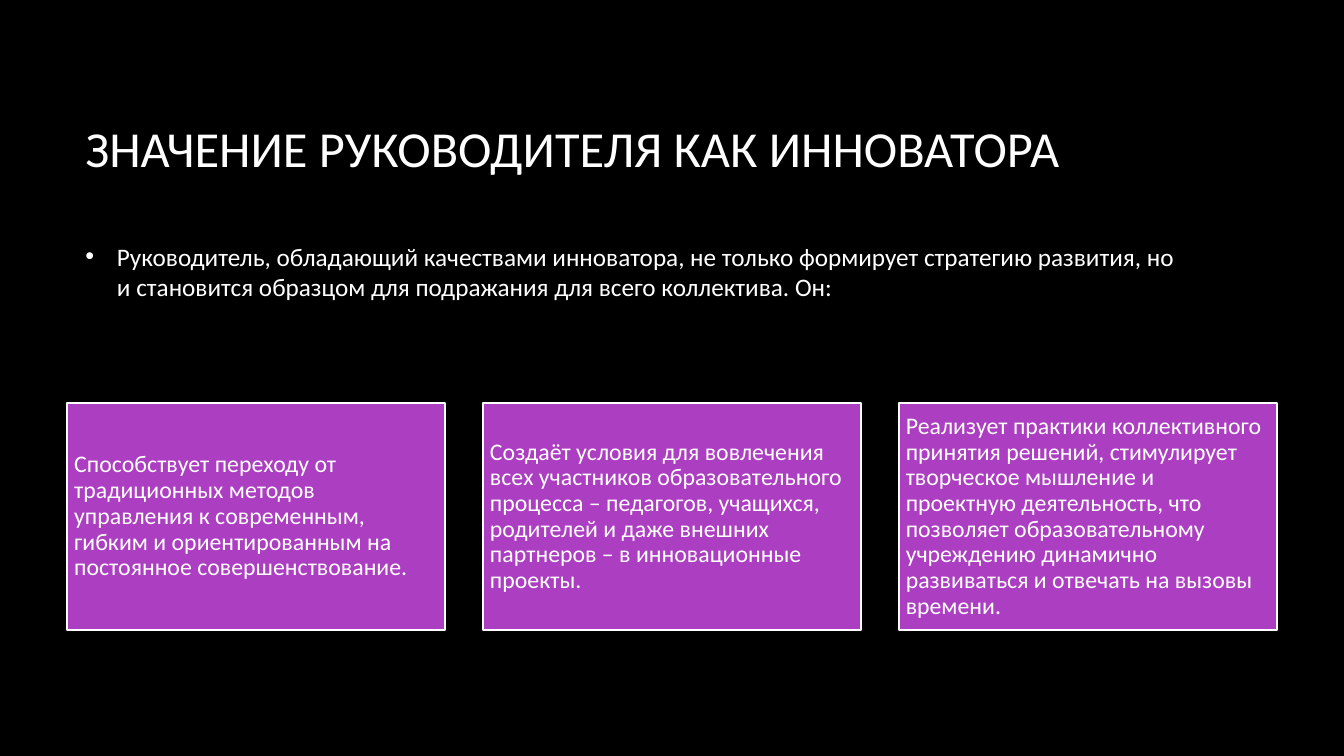
"""Builds a slide on the leader as an innovator, with three cards."""
import pptx
import pptx.util
import pptx.dml.color
import pptx.enum.shapes
import pptx.enum.text
import pptx.oxml

Pt = pptx.util.Pt
MID = pptx.enum.text.MSO_ANCHOR.MIDDLE
WHITE = "FFFFFF"


def tint(item, code):
    item.rgb = pptx.dml.color.RGBColor.from_string(code)


def write(shape, text, size):
    frame = shape.text_frame
    frame.word_wrap = True
    para = frame.paragraphs[0]
    para.alignment = pptx.enum.text.PP_ALIGN.LEFT
    run = para.add_run()
    run.text = text
    run.font.name = "Calibri"
    run.font.size = Pt(size)
    tint(run.font.color, WHITE)
    return frame, para


deck = pptx.Presentation()
deck.slide_width, deck.slide_height = Pt(960), Pt(540)
slide = deck.slides.add_slide(deck.slide_layouts[6])
slide.background.fill.solid()
tint(slide.background.fill.fore_color, "000000")

title = slide.shapes.add_textbox(Pt(54), Pt(48), Pt(798), Pt(114.5))
frame, para = write(title, "ЗНАЧЕНИЕ РУКОВОДИТЕЛЯ КАК ИННОВАТОРА", 36)
frame.vertical_anchor = MID

body = slide.shapes.add_textbox(Pt(54), Pt(168.5), Pt(798), Pt(287))
frame, para = write(
    body,
    "Руководитель, обладающий качествами инноватора, не только формирует "
    "стратегию развития, но и становится образцом для подражания для всего "
    "коллектива. Он:",
    18,
)
para.space_after = Pt(10)
props = para._p.get_or_add_pPr()
props.set("marL", str(Pt(22.5)))
props.set("indent", str(Pt(-22.5)))
space = 'xmlns:a="http://schemas.openxmlformats.org/drawingml/2006/main"'
for mark in (
    f'<a:buClr {space}><a:srgbClr val="{WHITE}"/></a:buClr>',
    f'<a:buFont {space} typeface="Arial"/>',
    f'<a:buChar {space} char="•"/>',
):
    props.append(pptx.oxml.parse_xml(mark))

cards = (
    "Способствует переходу от традиционных методов управления к современным, "
    "гибким и ориентированным на постоянное совершенствование.",
    "Создаёт условия для вовлечения всех участников образовательного процесса – "
    "педагогов, учащихся, родителей и даже внешних партнеров – в инновационные "
    "проекты.",
    "Реализует практики коллективного принятия решений, стимулирует творческое "
    "мышление и проектную деятельность, что позволяет образовательному "
    "учреждению динамично развиваться и отвечать на вызовы времени.",
)
wide, gap = 270, 27
for num, text in enumerate(cards):
    card = slide.shapes.add_shape(
        pptx.enum.shapes.MSO_SHAPE.RECTANGLE,
        Pt(48 + num * (wide + gap)), Pt(288), Pt(wide), Pt(162),
    )
    card.shadow.inherit = False
    card.fill.solid()
    tint(card.fill.fore_color, "AC3EC1")
    tint(card.line.color, WHITE)
    card.line.width = Pt(1.5)
    frame, para = write(card, text, 17)
    frame.vertical_anchor = MID
    frame.margin_left = frame.margin_right = Pt(5)
    frame.margin_top = frame.margin_bottom = Pt(5)
    para.line_spacing = 0.9
    para.space_after = Pt(6)

deck.save("out.pptx")
